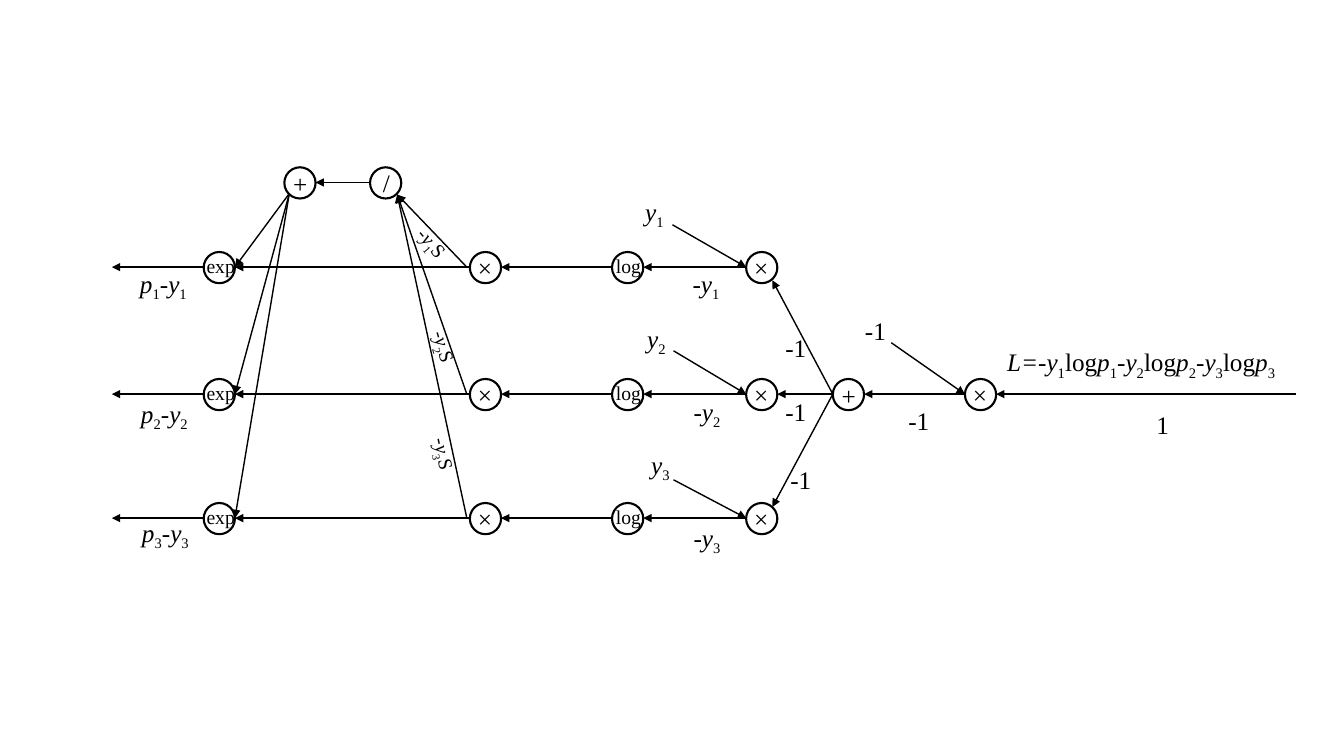
from dataclasses import dataclass

from lxml.etree import SubElement
from pptx import Presentation
from pptx.dml.color import RGBColor
from pptx.enum.shapes import MSO_CONNECTOR, MSO_SHAPE
from pptx.enum.text import MSO_AUTO_SIZE
from pptx.oxml.ns import qn
from pptx.util import Pt

EMU_PER_PX = 9144  # 100 px to the inch
NODE = 31
RADIUS = 15


@dataclass(frozen=True)
class Theme:
    font: str = "Times New Roman"
    ink: RGBColor = RGBColor(0, 0, 0)
    large: int = 18
    small: int = 14
    node_line: float = 1.5
    arrow_line: float = 1


@dataclass(frozen=True)
class Symbol:
    """Text of a node and its box, relative to the node's top left corner."""
    text: str
    box: tuple
    size: int
    wrap: bool


@dataclass(frozen=True)
class Branch:
    """One class of the softmax: centre line and label places, in px."""
    index: int
    center: int
    label: tuple
    label_arrow: tuple
    gradient: tuple
    result: tuple
    share: tuple
    angle: float
    upstream: tuple
    sum_target: tuple


THEME = Theme()
TIMES = Symbol("×", (-2, -5, 32, 40), THEME.large, True)
PLUS = Symbol("+", (-1, -4, 34, 40), THEME.large, False)
DIVIDE = Symbol("/", (3, -5, 28, 40), THEME.large, True)
EXP = Symbol("exp", (-7, -3, 49, 34), THEME.small, False)
LOG = Symbol("log", (-6, -3, 45, 34), THEME.small, False)

EXP_X, PRODUCT_X, LOG_X, TARGET_X = 202, 466, 607, 740
SUM_X, NEGATE_X = 826, 957
PLUS_X, DIVIDE_X, TOP_CENTER = 282, 367, 181
MIDDLE = 391
RESULT_END = 111

BRANCHES = (
    Branch(1, 265, (630, 190), (667, 223), (677, 261), (129, 261),
           (399, 232), 49.6, (769, 325), (766, 278)),
    Branch(2, MIDDLE, (632, 316), (668, 348), (678, 388), (130, 390),
           (407, 337), 73.9, (769, 388), (771, MIDDLE)),
    Branch(3, 514, (636, 441), (668, 476), (678, 513), (131, 508),
           (406, 444), 78.6, (774, 456), (766, 503)),
)


def px(*lengths):
    return [length * EMU_PER_PX for length in lengths]


def plain(text):
    return [(text, False, False)]


def variable(name, index):
    """Runs of an italic name with an upright subscript."""
    return [(name, True, False), (str(index), False, True)]


def add_label(slide, runs, box, size=THEME.large, wrap=True, angle=0):
    shape = slide.shapes.add_textbox(*px(*box))
    shape.rotation = angle
    frame = shape.text_frame
    frame.word_wrap = wrap
    frame.auto_size = MSO_AUTO_SIZE.SHAPE_TO_FIT_TEXT
    paragraph = frame.paragraphs[0]
    for text, italic, subscript in runs:
        run = paragraph.add_run()
        run.text = text
        run.font.name = THEME.font
        run.font.size = Pt(size)
        run.font.italic = italic
        run.font.color.rgb = THEME.ink
        if subscript:
            run.font._element.set("baseline", "-25000")


def add_node(slide, symbol, left, center):
    top = center - RADIUS
    shape = slide.shapes.add_shape(MSO_SHAPE.FLOWCHART_CONNECTOR,
                                   *px(left, top, NODE, NODE))
    shape.shadow.inherit = False
    shape.fill.background()
    shape.line.color.rgb = THEME.ink
    shape.line.width = Pt(THEME.node_line)
    x, y, width, height = symbol.box
    add_label(slide, plain(symbol.text), (left + x, top + y, width, height),
              symbol.size, symbol.wrap)


def add_arrow(slide, start, end):
    connector = slide.shapes.add_connector(MSO_CONNECTOR.STRAIGHT,
                                           *px(*start, *end))
    connector.line.color.rgb = THEME.ink
    connector.line.width = Pt(THEME.arrow_line)
    SubElement(connector.line._get_or_add_ln(), qn("a:tailEnd"), type="triangle")
    SubElement(connector._element.spPr, qn("a:effectLst"))


def add_branch(slide, branch):
    index, center = branch.index, branch.center
    columns = ((EXP, EXP_X), (TIMES, PRODUCT_X), (LOG, LOG_X), (TIMES, TARGET_X))
    target = RESULT_END
    for symbol, left in columns:
        add_arrow(slide, (left, center), (target, center))
        add_node(slide, symbol, left, center)
        target = left + NODE

    add_arrow(slide, branch.label_arrow, (TARGET_X, center))
    add_arrow(slide, (SUM_X, MIDDLE), branch.sum_target)
    add_arrow(slide, (463, center), (394, 193))
    add_arrow(slide, (287, 192), (EXP_X + NODE, center))

    y = variable("y", index)
    add_label(slide, y, (*branch.label, 40, 40), wrap=False)
    add_label(slide, plain("-") + y, (*branch.gradient, 51, 40))
    add_label(slide, variable("p", index) + plain("-") + y,
              (*branch.result, 76, 40))
    add_label(slide, plain("-") + y + plain("S"), (*branch.share, 73, 34),
              THEME.small, angle=branch.angle)
    add_label(slide, plain("-1"), (*branch.upstream, 51, 40))


def add_normaliser(slide):
    add_node(slide, PLUS, PLUS_X, TOP_CENTER)
    add_node(slide, DIVIDE, DIVIDE_X, TOP_CENTER)
    add_arrow(slide, (DIVIDE_X, TOP_CENTER), (PLUS_X + NODE, TOP_CENTER))


def add_loss(slide):
    add_node(slide, PLUS, SUM_X, MIDDLE)
    add_node(slide, TIMES, NEGATE_X, MIDDLE)
    add_arrow(slide, (NEGATE_X, MIDDLE), (SUM_X + NODE, MIDDLE))
    add_arrow(slide, (1285, MIDDLE), (NEGATE_X + NODE, MIDDLE))
    add_arrow(slide, (884, 340), (NEGATE_X, MIDDLE))
    for text, left, top in (("-1", 848, 308), ("-1", 891, 397), ("1", 1137, 401)):
        add_label(slide, plain(text), (left, top, 51, 40))

    formula = []
    for branch in BRANCHES:
        name = "-y" if formula else "L=-y"
        formula += variable(name, branch.index) + plain("log")
        formula += variable("p", branch.index)
    add_label(slide, formula, (989, 339, 295, 40), wrap=False)


def main():
    presentation = Presentation()
    presentation.slide_width, presentation.slide_height = px(1333, 750)
    slide = presentation.slides.add_slide(presentation.slide_layouts[6])
    add_normaliser(slide)
    for branch in BRANCHES:
        add_branch(slide, branch)
    add_loss(slide)
    presentation.save("out.pptx")


if __name__ == "__main__":
    main()
